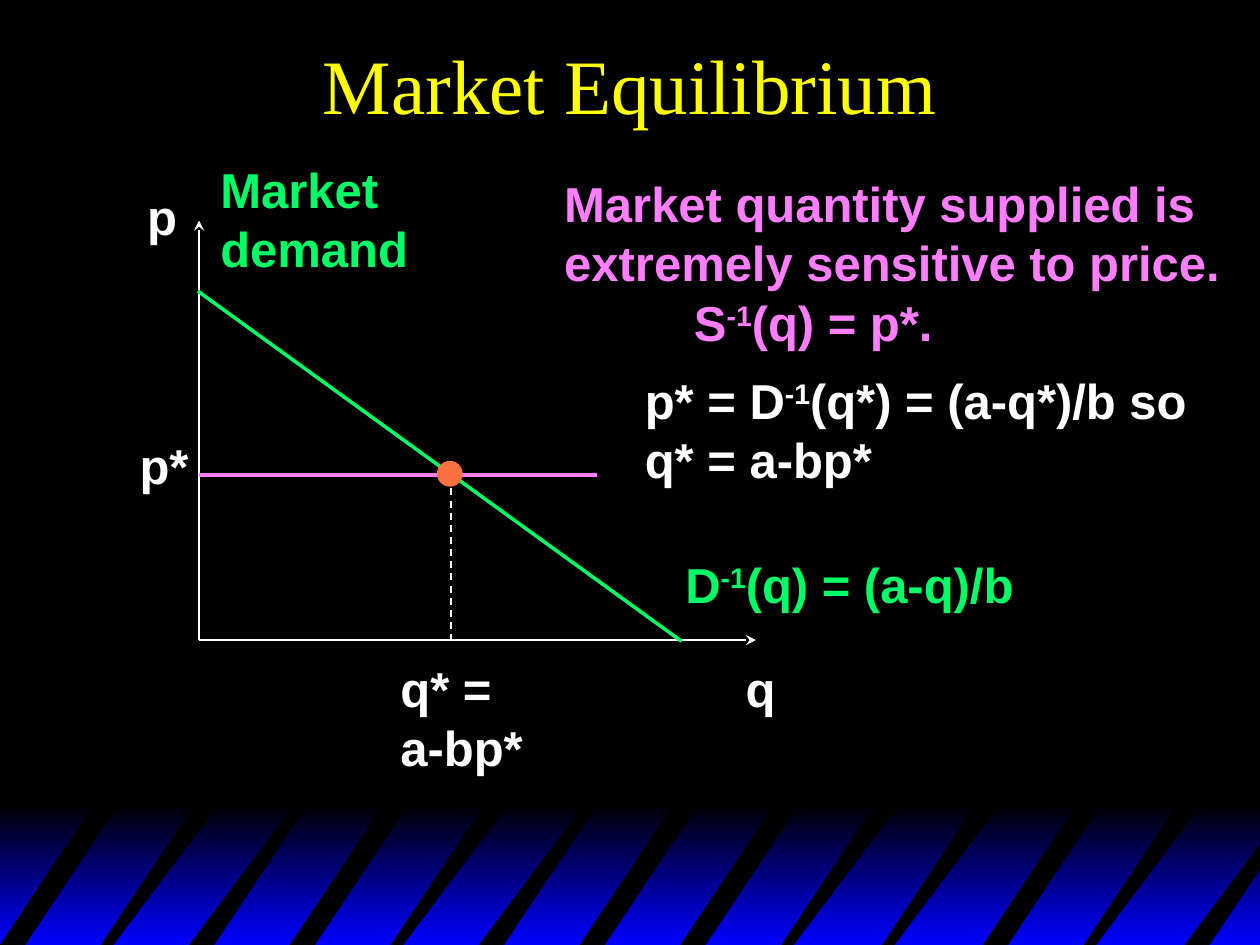
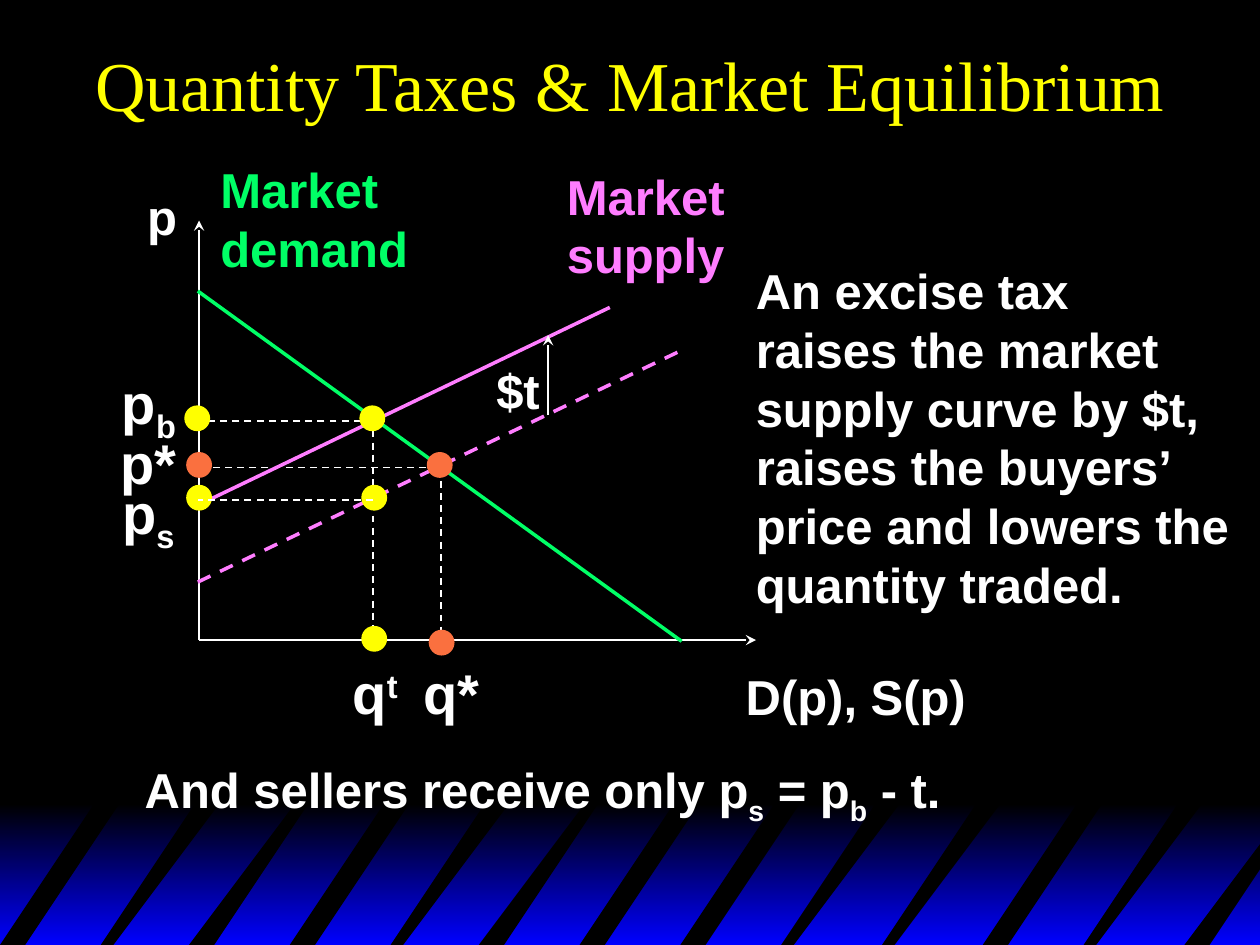
from dataclasses import dataclass

from lxml.etree import SubElement
from pptx import Presentation
from pptx.dml.color import RGBColor
from pptx.enum.dml import MSO_LINE
from pptx.enum.shapes import MSO_CONNECTOR, MSO_SHAPE
from pptx.enum.text import MSO_ANCHOR, MSO_AUTO_SIZE, PP_ALIGN
from pptx.oxml.ns import qn
from pptx.util import Inches, Pt


@dataclass(frozen=True)
class Theme:
    black: RGBColor = RGBColor(0x00, 0x00, 0x00)
    blue: RGBColor = RGBColor(0x00, 0x00, 0xFF)
    white: RGBColor = RGBColor(0xFF, 0xFF, 0xFF)
    yellow: RGBColor = RGBColor(0xFF, 0xFF, 0x00)
    demand: RGBColor = RGBColor(0x00, 0xFF, 0x66)
    supply: RGBColor = RGBColor(0xFF, 0x7D, 0xFF)
    orange: RGBColor = RGBColor(0xFA, 0x70, 0x3F)
    title_font: str = "Times New Roman"
    body_font: str = "Arial"
    label_size: int = 28
    symbol_size: int = 32
    leading: float = 1.2
    subscript_leading: float = 1.37


theme = Theme()

# Slide grid: 100 columns by 75 rows of square cells
COLUMNS, ROWS = 100, 75
CELL = Inches(0.1)
SUPERSCRIPT, SUBSCRIPT = "30000", "-25000"


def add_line(slide, start, end, color=theme.white, width=1, dashed=False, arrow=False):
    """Draw a straight line between two grid points."""
    points = [round(position * CELL) for position in (*start, *end)]
    connector = slide.shapes.add_connector(MSO_CONNECTOR.STRAIGHT, *points)
    connector.line.color.rgb = color
    connector.line.width = Pt(width)
    if dashed:
        connector.line.dash_style = MSO_LINE.DASH
    if arrow:
        line_element = connector.element.spPr.find(qn("a:ln"))
        SubElement(line_element, qn("a:tailEnd"), type="stealth")
    SubElement(connector.element.spPr, qn("a:effectLst"))


def add_label(slide, left, top, width, text, color=theme.white,
              size=theme.label_size, script=SUPERSCRIPT):
    """Write bold text; parts between bars are raised or lowered."""
    lowered = "|" in text and script == SUBSCRIPT
    spacing = Pt(size * (theme.subscript_leading if lowered else theme.leading))
    lines = text.split("\n")
    box = slide.shapes.add_textbox(round(left * CELL), round(top * CELL), round(width * CELL),
                                   spacing * len(lines) + CELL)
    frame = box.text_frame
    frame.word_wrap = False
    frame.auto_size = MSO_AUTO_SIZE.SHAPE_TO_FIT_TEXT
    paragraph = frame.paragraphs[0]
    paragraph.line_spacing = spacing
    paragraph.font.name = theme.body_font
    paragraph.font.size = Pt(size)
    paragraph.font.bold = True
    paragraph.font.color.rgb = color
    for line_number, line in enumerate(lines):
        if line_number:
            paragraph.add_line_break()
        for part_number, part in enumerate(line.split("|")):
            run = paragraph.add_run()
            run.text = part
            if part_number % 2:
                run._r.get_or_add_rPr().set("baseline", script)


presentation = Presentation()
presentation.slide_width = COLUMNS * CELL
presentation.slide_height = ROWS * CELL
title_only = presentation.slide_layouts[5]
slides = [presentation.slides.add_slide(title_only) for _ in range(2)]
equilibrium, quantity_tax = slides

# Master: black background and striped blue band along the bottom
master = presentation.slide_master
master.background.fill.solid()
master.background.fill.fore_color.rgb = theme.black

band_top, stripe_top, stripe_lean, stripe_width = 63.8, 63.4, 8.3, 1.7
band = equilibrium.shapes.add_shape(MSO_SHAPE.RECTANGLE, 0, round(band_top * CELL),
                                    COLUMNS * CELL, round((ROWS - band_top) * CELL))
band.fill.gradient()
band.fill.gradient_angle = 270
for stop, color in zip(band.fill.gradient_stops, (theme.black, theme.blue)):
    stop.color.rgb = color
band_shapes = [band]

stripe_starts = (0, 7.5, 15.3, 23, 30.7, 38.5, 46, 53.8, 61.7, 69.6, 77.8, 85.7)
outlines = [[(start, ROWS), (start + stripe_lean, stripe_top),
             (start + stripe_lean + stripe_width, stripe_top), (start + stripe_width, ROWS)]
            for start in stripe_starts]
outlines.append([(94.1, ROWS), (COLUMNS, 66.7), (COLUMNS, 68.8), (95.7, ROWS)])
for outline in outlines:
    builder = equilibrium.shapes.build_freeform(*outline[0], scale=CELL)
    builder.add_line_segments(outline[1:])
    stripe = builder.convert_to_shape()
    stripe.fill.solid()
    stripe.fill.fore_color.rgb = theme.black
    band_shapes.append(stripe)

for position, shape in enumerate(band_shapes, start=2):
    shape.line.fill.background()
    shape.shadow.inherit = False
    master.shapes.element.insert(position, shape.element)

# Titles
for slide, text, size in ((equilibrium, "Market Equilibrium", 44),
                          (quantity_tax, "Quantity Taxes & Market Equilibrium", 40)):
    title = slide.shapes.title
    title.left, title.top, title.width, title.height = 0, 0, COLUMNS * CELL, round(13.3 * CELL)
    title.text_frame.text = text
    title.text_frame.auto_size = MSO_AUTO_SIZE.NONE
    title.text_frame.vertical_anchor = MSO_ANCHOR.MIDDLE
    paragraph = title.text_frame.paragraphs[0]
    paragraph.alignment = PP_ALIGN.CENTER
    paragraph.line_spacing = Pt(size * theme.leading)
    paragraph.font.name = theme.title_font
    paragraph.font.size = Pt(size)
    paragraph.font.color.rgb = theme.yellow

# Axes shared by both diagrams
origin = (15.8, 50.8)
axis_left, axis_bottom = 15.7, 50.9
for slide in slides:
    add_line(slide, origin, (15.8, 17.5), arrow=True)
    add_line(slide, origin, (60, 50.8), arrow=True)
    add_label(slide, 10.7, 14.3, 4.4, "p")
    add_label(slide, 16.5, 12.2, 16.9, "Market\ndemand", theme.demand)

# Supply curves and dashed guides beneath the demand curve
add_line(equilibrium, (47.4, 37.7), (15.8, 37.7), theme.supply, width=2)
add_line(quantity_tax, (axis_left, 46.2), (53.9, 27.9), theme.supply, width=2, dashed=True)
for start, end in (((35, 37.2), (35, axis_bottom)), ((34.8, 37.1), (axis_left, 37.1))):
    add_line(quantity_tax, start, end, dashed=True)

# Demand curve
for slide in slides:
    add_line(slide, (axis_left, 23.1), (54.1, axis_bottom), theme.demand, width=2)

# Guides, taxed supply curve and tax arrow above the demand curve
add_line(equilibrium, (35.8, 37.8), (35.8, axis_bottom), dashed=True)
add_line(quantity_tax, (axis_left, 40.1), (48.4, 24.4), theme.supply, width=2)
add_line(quantity_tax, (43.5, 32.9), (43.5, 26.6), arrow=True)
for start, end in (((29.6, 33.4), (axis_left, 33.4)), ((29.6, 33.2), (29.6, axis_bottom))):
    add_line(quantity_tax, start, end, dashed=True)

# Equilibrium points, by centre
dot_size = 2.05
for slide, color, centres in (
    (equilibrium, theme.orange, [(35.7, 37.6)]),
    (quantity_tax, theme.orange, [(34.9, 36.9), (15.8, 36.9), (35.05, 51)]),
    (quantity_tax, theme.yellow,
     [(29.55, 33.2), (29.7, 50.7), (15.65, 33.2), (15.8, 39.5), (29.7, 39.5)]),
):
    for column, row in centres:
        dot = slide.shapes.add_shape(
            MSO_SHAPE.OVAL, round((column - dot_size / 2) * CELL),
            round((row - dot_size / 2) * CELL), round(dot_size * CELL), round(dot_size * CELL))
        dot.fill.solid()
        dot.fill.fore_color.rgb = color
        dot.line.fill.background()
        dot.shadow.inherit = False
add_line(quantity_tax, (29.6, 39.7), (axis_left, 39.7), dashed=True)

# Labels: market equilibrium
add_label(equilibrium, 43.8, 13.3, 54,
          "Market quantity supplied is\nextremely sensitive to price.", theme.supply)
add_label(equilibrium, 54.1, 22.7, 21, "S|-1|(q) = p*.", theme.supply)
add_label(equilibrium, 50.2, 28.9, 45, "p* = D|-1|(q*) = (a-q*)/b so\nq* = a-bp*")
add_label(equilibrium, 53.4, 43.5, 28.1, "D|-1|(q) = (a-q)/b", theme.demand)
add_label(equilibrium, 10.1, 34.1, 5.9, "p*")
add_label(equilibrium, 30.8, 51.8, 11.7, "q* =\na-bp*")
add_label(equilibrium, 58.2, 51.8, 4.4, "q")

# Labels: quantity tax
add_label(quantity_tax, 44, 12.7, 14.5, "Market\nsupply", theme.supply)
add_label(quantity_tax, 38.4, 28.1, 5.5, "$t")
add_label(quantity_tax, 58.2, 52.4, 19.5, "D(p), S(p)")
add_label(quantity_tax, 59, 20.2, 39.6,
          "An excise tax\nraises the market\nsupply curve by $t,\n"
          "raises the buyers’\nprice and lowers the\nquantity traded.")
add_label(quantity_tax, 10.5, 59.8, 65.2, "And sellers receive only p|s| = p|b| - t.",
          script=SUBSCRIPT)
for left, top, width, text, script in (
    (8.7, 28.7, 6.3, "p|b", SUBSCRIPT),
    (8.6, 33.5, 6.5, "p*", SUPERSCRIPT),
    (8.7, 37.5, 6.2, "p|s", SUBSCRIPT),
    (27, 51.8, 5.6, "q|t", SUPERSCRIPT),
    (32.6, 51.8, 6.5, "q*", SUPERSCRIPT),
):
    add_label(quantity_tax, left, top, width, text, size=theme.symbol_size, script=script)

presentation.save("out.pptx")
